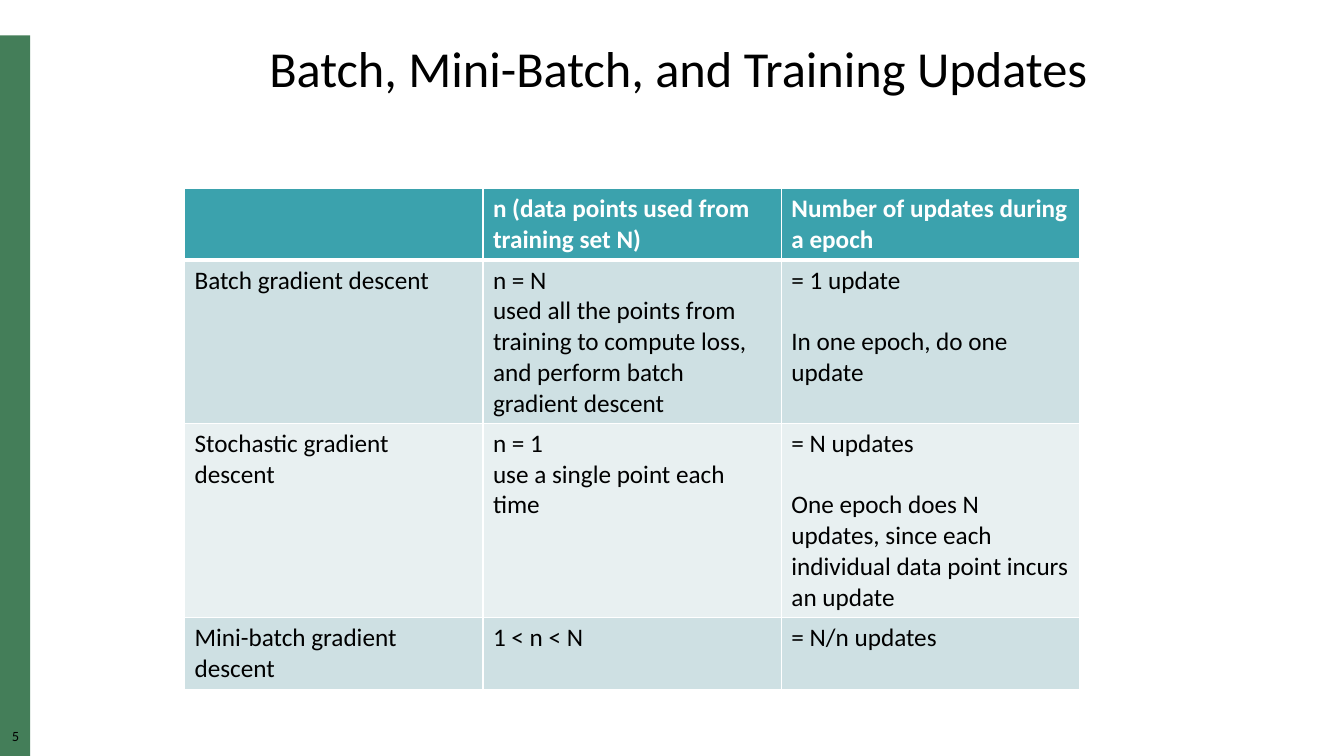
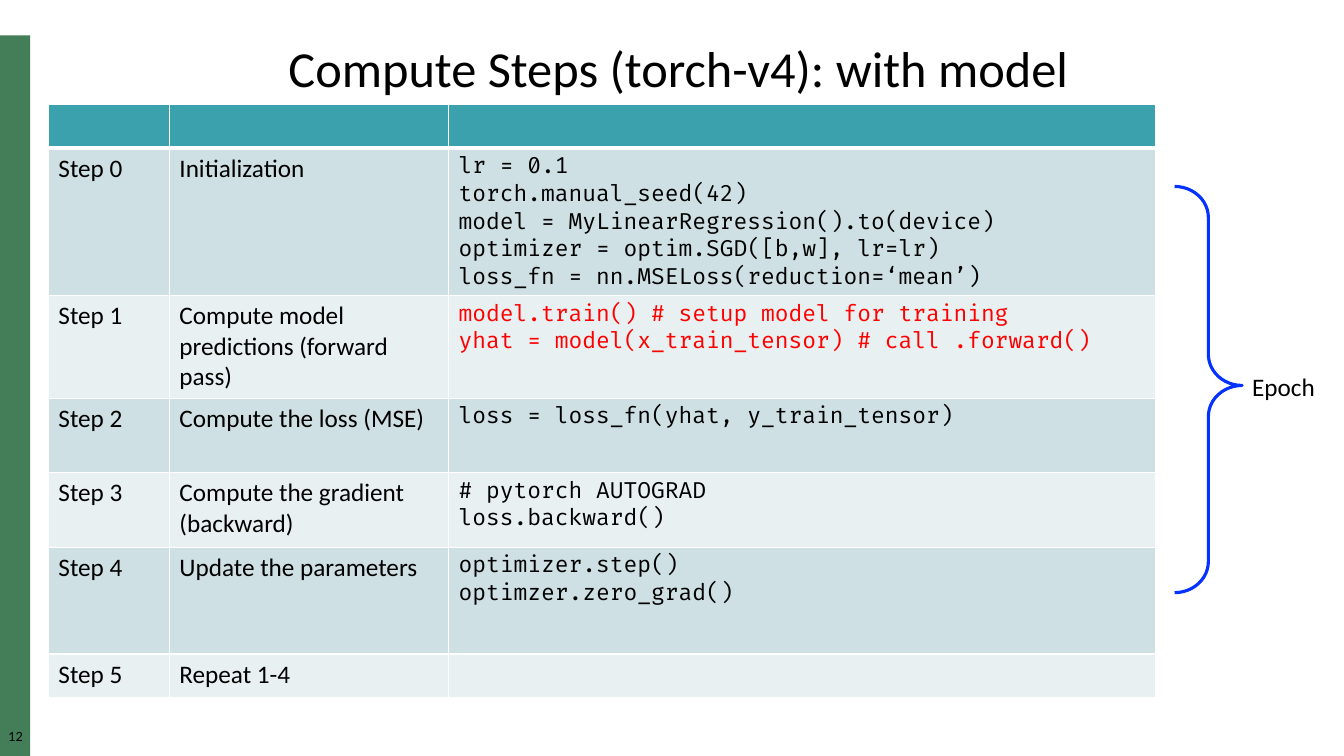
import pptx
import pptx.util
import pptx.dml.color
import pptx.enum.shapes
import pptx.enum.text
import lxml.etree
from pptx.util import Inches

RGBColor = pptx.dml.color.RGBColor
BLACK = RGBColor(0x00, 0x00, 0x00)
WHITE = RGBColor(0xFF, 0xFF, 0xFF)
RED = RGBColor(0xFF, 0x00, 0x00)
BLUE = RGBColor(0x04, 0x32, 0xFF)
GREEN = RGBColor(0x44, 0x7E, 0x59)
TEAL = RGBColor(0x3B, 0xA2, 0xAD)
BANDS = [RGBColor(0xCE, 0xE0, 0xE3), RGBColor(0xE8, 0xF0, 0xF1)]
BODY_FONT, CODE_FONT, NUMBER_FONT = "Calibri", "Fira Code", "Lato"
CENTER = pptx.enum.text.PP_ALIGN.CENTER
DRAWING = "http://schemas.openxmlformats.org/drawingml/2006/main"


def add_text(paragraph, text, size, font=BODY_FONT, color=BLACK, bold=False):
    run = paragraph.add_run()
    run.text = text
    run.font.size = pptx.util.Pt(size)
    run.font.name = font
    run.font.color.rgb = color
    run.font.bold = bold


def add_grid(slide, left, top, widths, heights, rows, code_column=None, red_row=None, gaps=False):
    """Add a banded table; each cell is a string whose lines become paragraphs."""
    table = slide.shapes.add_table(
        len(rows), len(widths), Inches(left), Inches(top),
        Inches(sum(widths)), Inches(sum(heights))).table
    table.horz_banding = False
    for column, width in zip(table.columns, widths):
        column.width = Inches(width)
    for row_index, (texts, height) in enumerate(zip(rows, heights)):
        table.rows[row_index].height = Inches(height)
        header = row_index == 0
        for column_index, text in enumerate(texts):
            cell = table.cell(row_index, column_index)
            # White borders, thicker under the header
            properties = cell._tc.get_or_add_tcPr()
            for side in "LRTB":
                thick = (header and side == "B") or (row_index == 1 and side == "T")
                line = lxml.etree.SubElement(
                    properties, f"{{{DRAWING}}}ln{side}", w=str(pptx.util.Pt(3 if thick else 1)))
                fill = lxml.etree.SubElement(line, f"{{{DRAWING}}}solidFill")
                lxml.etree.SubElement(fill, f"{{{DRAWING}}}srgbClr", val=str(WHITE))
            cell.fill.solid()
            cell.fill.fore_color.rgb = TEAL if header else BANDS[(row_index - 1) % 2]
            if not text:
                continue
            code = column_index == code_column
            color = WHITE if header else RED if code and row_index == red_row else BLACK
            for line_index, line_text in enumerate(text.split("\n")):
                frame = cell.text_frame
                paragraph = frame.add_paragraph() if line_index else frame.paragraphs[0]
                if gaps and line_index and column_index == len(widths) - 1:
                    paragraph.space_before = pptx.util.Pt(22)
                add_text(paragraph, line_text, 16 if code else 18,
                         CODE_FONT if code else BODY_FONT, color, header)


presentation = pptx.Presentation()
presentation.slide_width = Inches(13.33)
presentation.slide_height = Inches(7.5)

# Shared band, slide number and title
slides = []
for number, title in [("5", "Batch, Mini-Batch, and Training Updates"),
                      ("12", "Compute Steps (torch-v4): with model")]:
    slide = presentation.slides.add_slide(presentation.slide_layouts[6])
    slides.append(slide)
    band = slide.shapes.add_shape(
        pptx.enum.shapes.MSO_SHAPE.RECTANGLE, 0, Inches(0.35), Inches(0.3), Inches(7.15))
    band.shadow.inherit = False
    band.fill.solid()
    band.fill.fore_color.rgb = GREEN
    band.line.fill.background()

    number_frame = slide.shapes.add_textbox(0, Inches(7.25), Inches(0.31), Inches(0.17)).text_frame
    number_frame.margin_left = number_frame.margin_right = 0
    number_frame.margin_top = number_frame.margin_bottom = 0
    title_frame = slide.shapes.add_textbox(
        Inches(0.48), Inches(0.38), Inches(12.5), Inches(0.66)).text_frame
    title_frame.vertical_anchor = pptx.enum.text.MSO_ANCHOR.MIDDLE
    for frame, text, size, font in [(number_frame, number, 9, NUMBER_FONT),
                                    (title_frame, title, 36, BODY_FONT)]:
        frame.word_wrap = True
        paragraph = frame.paragraphs[0]
        paragraph.alignment = CENTER
        paragraph.line_spacing = 0.9
        add_text(paragraph, text, size, font)

updates_slide, steps_slide = slides

# Table of gradient descent variants
add_grid(updates_slide, 1.83, 1.87, [2.96] * 3, [0.71, 1.62, 1.93, 0.71], [
    ("", "n (data points used from training set N)", "Number of updates during a epoch"),
    ("Batch gradient descent",
     "n = N\nused all the points from training to compute loss, and perform batch gradient descent",
     "= 1 update\nIn one epoch, do one update"),
    ("Stochastic gradient descent",
     "n = 1\nuse a single point each time",
     "= N updates\nOne epoch does N updates, since each individual data point incurs an update"),
    ("Mini-batch gradient descent", "1 < n < N", "= N/n updates"),
], gaps=True)

# Table of training steps with code
steps = [
    ("Initialization",
     "lr = 0.1\ntorch.manual_seed(42)\nmodel = MyLinearRegression().to(device)\n"
     "optimizer = optim.SGD([b,w], lr=lr)\nloss_fn = nn.MSELoss(reduction=‘mean’)"),
    ("Compute model predictions (forward pass)",
     "model.train() # setup model for training\n"
     "yhat = model(x_train_tensor) # call .forward()"),
    ("Compute the loss (MSE)", "loss = loss_fn(yhat, y_train_tensor)"),
    ("Compute the gradient (backward)", "# pytorch AUTOGRAD\nloss.backward()"),
    ("Update the parameters", "optimizer.step()\noptimzer.zero_grad()"),
    ("Repeat 1-4", ""),
]
step_rows = [(f"Step {index}", *step) for index, step in enumerate(steps)]
add_grid(steps_slide, 0.48, 1.04, [1.2, 2.77, 7.01], [0.43, 1.46, 1.02, 0.74, 0.74, 1.06, 0.43],
         [("", "", "")] + step_rows, code_column=2, red_row=2)

# Brace marking one epoch
brace = steps_slide.shapes.add_shape(
    pptx.enum.shapes.MSO_SHAPE.RIGHT_BRACE, Inches(11.65), Inches(1.85), Inches(0.67), Inches(4.03))
brace.adjustments[0] = 0.46
brace.adjustments[1] = 0.49
brace.shadow.inherit = False
brace.fill.background()
brace.line.color.rgb = BLUE
brace.line.width = pptx.util.Pt(2.25)

epoch_frame = steps_slide.shapes.add_textbox(
    Inches(12.32), Inches(3.67), Inches(0.85), Inches(0.37)).text_frame
epoch_frame.word_wrap = False
epoch_frame.paragraphs[0].line_spacing = 0.9
add_text(epoch_frame.paragraphs[0], "Epoch", 18)

presentation.save("out.pptx")
